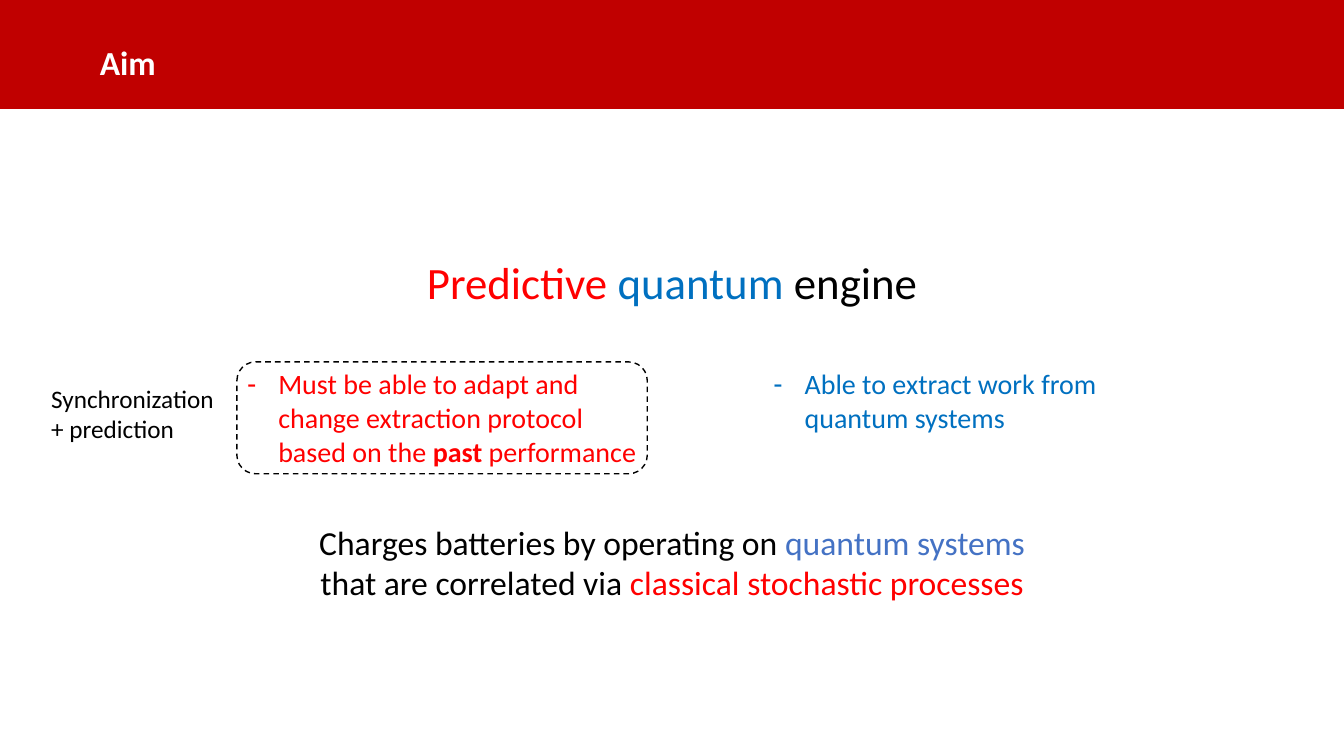
import lxml.etree
import pptx
import pptx.dml.color
import pptx.enum.dml
import pptx.enum.shapes
import pptx.enum.text
import pptx.oxml.ns
import pptx.util

Inches = pptx.util.Inches
Pt = pptx.util.Pt
ALIGN = pptx.enum.text.PP_ALIGN
SHAPE = pptx.enum.shapes.MSO_SHAPE

THEME = {
    "font": "Calibri",
    "black": "000000", "white": "FFFFFF", "band": "C00000",
    "red": "FF0000", "blue": "0070C0", "soft": "4472C4",
    "hero": 32, "head": 24, "list": 20, "note": 18,
}

# Runs: text, colour, bold
TITLE = [("Aim", "white", True)]
HERO = [("Predictive ", "red", False), ("quantum", "blue", False),
        (" engine", "black", False)]
ADAPT = [("Must be able to adapt and change extraction protocol based on the ",
          "red", False),
         ("past", "red", True), (" performance", "red", False)]
WORK = [("Able to extract work from quantum systems", "blue", False)]
NOTE = [("Synchronization + prediction", "black", False)]
CHARGE = [("Charges batteries by operating on ", "black", False),
          ("quantum systems", "soft", False),
          (" that are correlated via ", "black", False),
          ("classical stochastic processes", "red", False)]

WIDE, HIGH = 13.33, 7.5
ROW, DEEP = 3.59, 1.11  # top and height of the list row
LEFT = 2.35             # left edge of the first list and its frame
HANG = 0.31


def color(name):
    return pptx.dml.color.RGBColor.from_string(THEME[name])


def place(shape, left, top, width, height):
    shape.left, shape.top = Inches(left), Inches(top)
    shape.width, shape.height = Inches(width), Inches(height)


def write(shape, runs, size, align=ALIGN.LEFT):
    """Fill a shape with one paragraph of styled runs and return it."""
    frame = shape.text_frame
    frame.word_wrap = True
    frame.auto_size = pptx.enum.text.MSO_AUTO_SIZE.SHAPE_TO_FIT_TEXT
    frame.vertical_anchor = pptx.enum.text.MSO_ANCHOR.TOP
    para = frame.paragraphs[0]
    para.alignment = align
    para.line_spacing = 1.0
    para.space_before = para.space_after = Pt(0)
    for text, tint, bold in runs:
        run = para.add_run()
        run.text = text
        run.font.name = THEME["font"]
        run.font.size = Pt(THEME[size])
        run.font.bold = bold
        run.font.color.rgb = color(tint)
    return para


def dash(para):
    """Give a paragraph a hanging dash bullet."""
    props = para._p.get_or_add_pPr()
    props.set("marL", str(Inches(HANG)))
    props.set("indent", str(-Inches(HANG)))
    mark = lxml.etree.SubElement(props, pptx.oxml.ns.qn("a:buChar"))
    mark.set("char", "-")


def center(slide, top, width, height, runs, size):
    box = slide.shapes.add_textbox(0, 0, 0, 0)
    place(box, (WIDE - width) / 2, top, width, height)
    write(box, runs, size, ALIGN.CENTER)


def main():
    deck = pptx.Presentation()
    deck.slide_width, deck.slide_height = Inches(WIDE), Inches(HIGH)
    slide = deck.slides.add_slide(deck.slide_layouts.get_by_name("Two Content"))
    title, first, second = slide.placeholders

    band = slide.shapes.add_shape(
        SHAPE.RECTANGLE, 0, 0, Inches(WIDE), Inches(1.08))
    band.shadow.inherit = False
    band.fill.solid()
    band.fill.fore_color.rgb = color("band")
    band.line.fill.background()
    title.element.addprevious(band.element)  # keep the title in front

    place(title, 0.89, 0.37, 3.77, 0.5)
    write(title, TITLE, "head")

    for body, left, width, runs in ((first, LEFT, 4.16, ADAPT),
                                    (second, 7.57, 3.41, WORK)):
        place(body, left, ROW, width, DEEP)
        dash(write(body, runs, "list"))

    frame = slide.shapes.add_shape(
        SHAPE.ROUNDED_RECTANGLE, Inches(LEFT), Inches(ROW),
        Inches(4.07), Inches(DEEP))
    frame.shadow.inherit = False
    frame.fill.background()
    frame.line.color.rgb = color("black")
    frame.line.width = Pt(1)
    frame.line.dash_style = pptx.enum.dml.MSO_LINE.DASH

    note = slide.shapes.add_textbox(0, 0, 0, 0)
    place(note, 0.41, 3.75, 1.86, 0.71)
    write(note, NOTE, "note")

    center(slide, 2.48, 5.82, 0.64, HERO, "hero")
    center(slide, 5.13, 7.49, 0.91, CHARGE, "head")
    deck.save("out.pptx")


if __name__ == "__main__":
    main()
